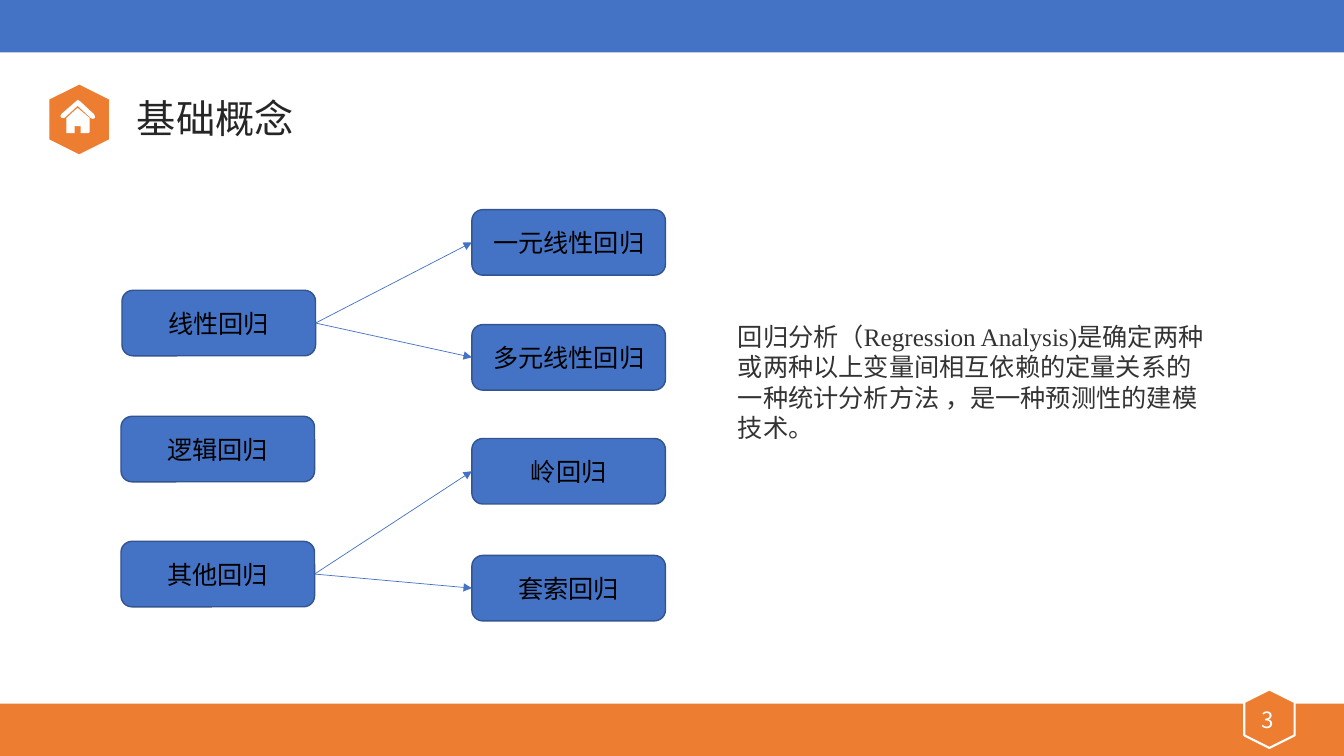
from lxml.etree import SubElement
from pptx import Presentation
from pptx.dml.color import RGBColor
from pptx.enum.shapes import MSO_CONNECTOR, MSO_SHAPE
from pptx.enum.text import MSO_ANCHOR, PP_ALIGN
from pptx.oxml.ns import qn
from pptx.util import Inches, Pt

BLUE = RGBColor(0x44, 0x72, 0xC4)
NAVY = RGBColor(0x32, 0x54, 0x91)
ORANGE = RGBColor(0xED, 0x7D, 0x31)
WHITE = RGBColor(0xFF, 0xFF, 0xFF)
BLACK = RGBColor(0, 0, 0)
TITLE_GREY = RGBColor(0x26, 0x26, 0x26)
TEXT_GREY = RGBColor(0x33, 0x33, 0x33)
CJK = "Noto Sans CJK SC"

WIDTH, HEIGHT, BAND = 13.33, 7.5, 0.52
BOX_W, BOX_H = 1.92, 0.65

TITLE = "基础概念"
DEFINITION = ("回归分析（Regression Analysis)是确定两种或两种以上变量间相互依赖的"
              "定量关系的一种统计分析方法 ，是一种预测性的建模技术。")
PAGE = "3"

# name: (left, top)
METHODS = {
    "线性回归": (1.21, 2.88),
    "逻辑回归": (1.2, 4.13),
    "其他回归": (1.2, 5.37),
    "一元线性回归": (4.68, 2.08),
    "多元线性回归": (4.68, 3.22),
    "岭回归": (4.68, 4.35),
    "套索回归": (4.68, 5.51),
}
BRANCHES = {
    "线性回归": ("一元线性回归", "多元线性回归"),
    "其他回归": ("岭回归", "套索回归"),
}
HOUSE_WALLS = [(0.66, 1.17), (0.66, 1.32), (0.74, 1.32), (0.74, 1.25), (0.8, 1.25),
               (0.8, 1.32), (0.88, 1.32), (0.89, 1.31), (0.89, 1.17), (0.77, 1.07)]
HOUSE_ROOF = [(0.93, 1.13), (0.79, 1.0), (0.77, 0.99), (0.76, 1.0), (0.61, 1.13),
              (0.6, 1.15), (0.61, 1.17), (0.64, 1.17), (0.77, 1.05), (0.9, 1.17),
              (0.92, 1.18), (0.94, 1.17), (0.94, 1.15)]


def add_block(kind, box, fill, line=None, line_width=1):
    """Add a filled preset shape, outlined when a line colour is given."""
    sp = shapes.add_shape(kind, *map(Inches, box))
    sp.shadow.inherit = False
    sp.fill.solid()
    sp.fill.fore_color.rgb = fill
    if line is None:
        sp.line.fill.background()
    else:
        sp.line.color.rgb = line
        sp.line.width = Pt(line_width)
    return sp


def write(sp, text, size, color, font=CJK, align=PP_ALIGN.LEFT, anchor=MSO_ANCHOR.TOP):
    """Put one styled paragraph in a shape and return it."""
    tf = sp.text_frame
    tf.word_wrap = True
    tf.vertical_anchor = anchor
    p = tf.paragraphs[0]
    p.text = text
    p.alignment = align
    p.font.size = Pt(size)
    p.font.name = font
    p.font.color.rgb = color
    ea = SubElement(p.runs[0].font._element, qn("a:ea"))
    ea.set("typeface", CJK)
    return p


def add_text(box, *args, **style):
    """Add a text box and return its paragraph."""
    return write(shapes.add_textbox(*map(Inches, box)), *args, **style)


def add_outline(group, points):
    """Add a white closed polygon to a group."""
    start, *rest = [(Inches(x), Inches(y)) for x, y in points]
    builder = group.shapes.build_freeform(*start)
    builder.add_line_segments(rest)
    sp = builder.convert_to_shape()
    sp.shadow.inherit = False
    sp.fill.solid()
    sp.fill.fore_color.rgb = WHITE
    sp.line.fill.background()


def add_arrow(source, target):
    """Join the right side of one box to the left side of another."""
    cx = shapes.add_connector(MSO_CONNECTOR.STRAIGHT, 0, 0, 0, 0)
    cx.begin_connect(source, 3)
    cx.end_connect(target, 1)
    cx.line.color.rgb = BLUE
    cx.line.width = Pt(0.5)
    SubElement(cx.line._get_or_add_ln(), qn("a:tailEnd")).set("type", "triangle")
    SubElement(cx._element.spPr, qn("a:effectLst"))


prs = Presentation()
prs.slide_width, prs.slide_height = Inches(WIDTH), Inches(HEIGHT)
shapes = prs.slides.add_slide(prs.slide_layouts[6]).shapes

add_block(MSO_SHAPE.RECTANGLE, (0, HEIGHT - BAND, WIDTH, BAND), ORANGE)
add_block(MSO_SHAPE.RECTANGLE, (0, 0, WIDTH, BAND), BLUE)
page_badge = add_block(MSO_SHAPE.HEXAGON, (12.3, 6.88, 0.58, 0.5), ORANGE, WHITE, 1.5)
home_badge = add_block(MSO_SHAPE.HEXAGON, (0.44, 0.89, 0.69, 0.59), ORANGE)
page_badge.rotation = home_badge.rotation = 90

house = shapes.add_group_shape()
for outline in (HOUSE_WALLS, HOUSE_ROOF):
    add_outline(house, outline)

title = add_text((1.26, 0.94, 8.11, 0.64), TITLE, 28, TITLE_GREY, font="Arial")
title.line_spacing = 0.9
title.space_before = Pt(10)
add_text((7.22, 3.14, 4.9, 1.31), DEFINITION, 18, TEXT_GREY, font="Times New Roman")
add_text((12.18, 6.94, 0.79, 0.4), PAGE, 16, WHITE,
         align=PP_ALIGN.CENTER, anchor=MSO_ANCHOR.MIDDLE)

boxes = {}
for name, (left, top) in METHODS.items():
    boxes[name] = add_block(MSO_SHAPE.ROUNDED_RECTANGLE, (left, top, BOX_W, BOX_H), BLUE, NAVY)
    write(boxes[name], name, 18, BLACK, align=PP_ALIGN.CENTER, anchor=MSO_ANCHOR.MIDDLE)
for parent, children in BRANCHES.items():
    for child in children:
        add_arrow(boxes[parent], boxes[child])

prs.save("out.pptx")
